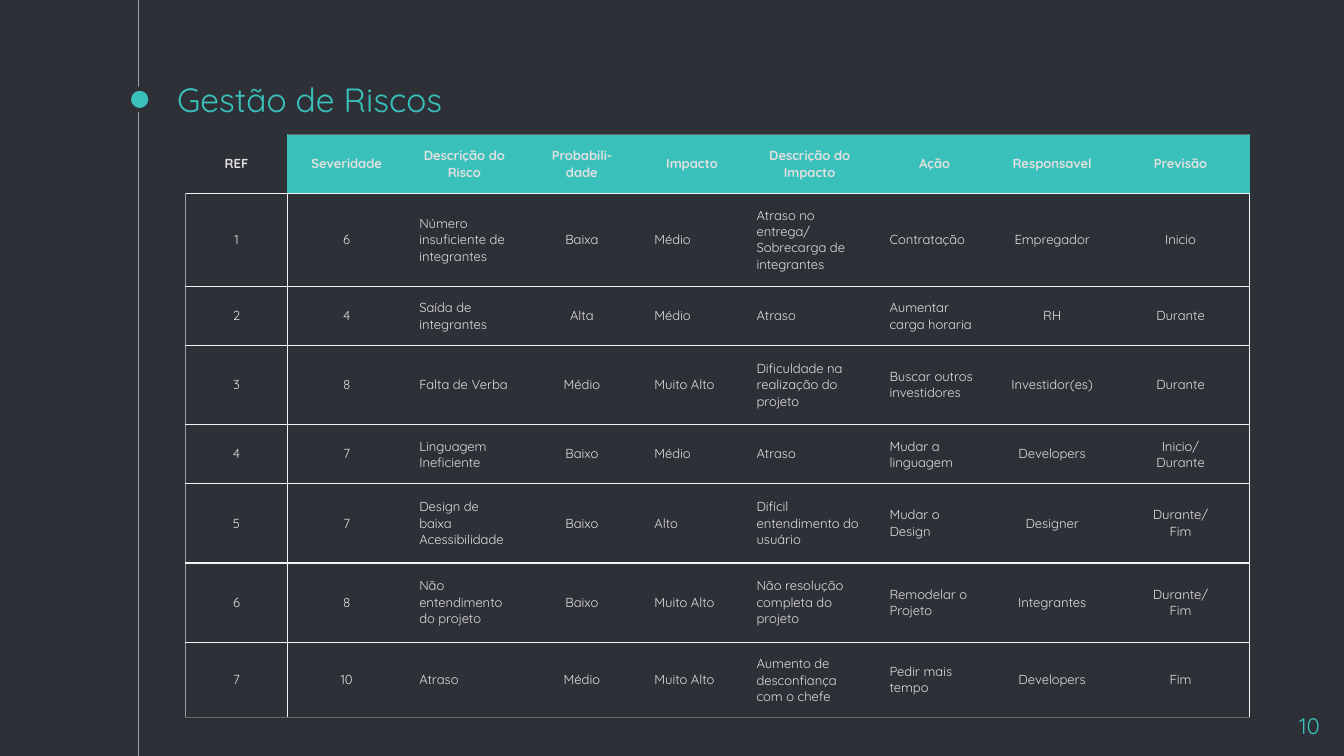
import pptx
import pptx.util
import pptx.dml.color
import pptx.enum.shapes
import pptx.enum.text
import pptx.oxml
import pptx.oxml.ns

Inches = pptx.util.Inches
Pt = pptx.util.Pt
RGBColor = pptx.dml.color.RGBColor
PP_ALIGN = pptx.enum.text.PP_ALIGN
MSO_ANCHOR = pptx.enum.text.MSO_ANCHOR

DARK = RGBColor(0x2E, 0x30, 0x37)
TEAL = RGBColor(0x39, 0xC0, 0xBA)
GRAY = RGBColor(0x99, 0x9F, 0xA9)
DIM = RGBColor(0x66, 0x66, 0x66)
PALE = RGBColor(0xF3, 0xF3, 0xF3)
TEXT = RGBColor(0xE0, 0xE0, 0xE0)
FONT = "Quicksand"
NO_STYLE = "{2D5ABB26-0587-4C30-8999-92F81FD0307C}"


def write(frame, box, text, size, color, align, anchor, bold=False):
    frame.text = text
    frame.word_wrap = True
    box_formats = {"vertical_anchor": anchor}
    for side in ("left", "right", "top", "bottom"):
        box_formats["margin_" + side] = Inches(0.1)
    for key, value in box_formats.items():
        setattr(box, key, value)
    font_formats = {"name": FONT, "size": Pt(size), "bold": bold}
    for paragraph in frame.paragraphs:
        paragraph.alignment = align
        for run in paragraph.runs:
            for key, value in font_formats.items():
                setattr(run.font, key, value)
            run.font.color.rgb = color


def add_border(cell, side, color):
    paint = "<a:noFill/>"
    if color is not None:
        paint = f'<a:solidFill><a:srgbClr val="{color}"/></a:solidFill>'
    cell._tc.get_or_add_tcPr().append(pptx.oxml.parse_xml(
        f'<a:ln{side} {pptx.oxml.ns.nsdecls("a")} w="9525">{paint}</a:ln{side}>'))


presentation = pptx.Presentation()
presentation.slide_width = Inches(10)
presentation.slide_height = presentation.slide_width * 9 // 16
slide = presentation.slides.add_slide(presentation.slide_layouts[6])
slide.background.fill.solid()
slide.background.fill.fore_color.rgb = DARK

timeline = slide.shapes.add_connector(
    pptx.enum.shapes.MSO_CONNECTOR.STRAIGHT,
    Inches(1.03), Inches(0), Inches(1.03), presentation.slide_height)
timeline.line.color.rgb = GRAY
timeline.line.width = Pt(0.75)
timeline._element.spPr.append(
    pptx.oxml.parse_xml(f'<a:effectLst {pptx.oxml.ns.nsdecls("a")}/>'))

dot = slide.shapes.add_shape(
    pptx.enum.shapes.MSO_SHAPE.OVAL, Inches(0.96), Inches(0.66), Inches(0.16), Inches(0.16))
dot.shadow.inherit = False
dot.fill.solid()
dot.fill.fore_color.rgb = TEAL
dot.line.color.rgb = DARK
dot.line.width = Pt(2.25)

title = slide.shapes.add_textbox(Inches(1.22), Inches(0.61), Inches(7.5), Inches(0.38)).text_frame
write(title, title, "Gestão de Riscos", 18, TEAL, PP_ALIGN.LEFT, MSO_ANCHOR.BOTTOM)
page_number = slide.shapes.add_textbox(
    Inches(9.32), Inches(5.2), Inches(0.6), Inches(0.34)).text_frame
write(page_number, page_number, "10", 12, TEAL, PP_ALIGN.RIGHT, MSO_ANCHOR.TOP)

risks = [
    ("REF", "Severidade", "Descrição do Risco", "Probabili-dade", "Impacto",
     "Descrição do Impacto", "Ação", "Responsavel", "Previsão"),
    ("1", "6", "Número insuficiente de integrantes", "Baixa", "Médio",
     "Atraso no entrega/\nSobrecarga de integrantes", "Contratação", "Empregador", "Inicio"),
    ("2", "4", "Saída de integrantes", "Alta", "Médio",
     "Atraso", "Aumentar carga horaria", "RH", "Durante"),
    ("3", "8", "Falta de Verba", "Médio", "Muito Alto",
     "Dificuldade na realização do projeto", "Buscar outros investidores",
     "Investidor(es)", "Durante"),
    ("4", "7", "Linguagem Ineficiente", "Baixo", "Médio",
     "Atraso", "Mudar a linguagem", "Developers", "Inicio/\nDurante"),
    ("5", "7", "Design de baixa Acessibilidade", "Baixo", "Alto",
     "Difícil entendimento do usuário", "Mudar o Design", "Designer", "Durante/\nFim"),
    ("6", "8", "Não entendimento do projeto", "Baixo", "Muito Alto",
     "Não resolução completa do projeto", "Remodelar o Projeto", "Integrantes",
     "Durante/\nFim"),
    ("7", "10", "Atraso", "Médio", "Muito Alto",
     "Aumento de desconfiança com o chefe", "Pedir mais tempo", "Developers", "Fim"),
]
column_widths = [0.76, 0.88, 0.87, 0.88, 0.76, 0.99, 0.87, 0.88, 1.03]
row_heights = [0.44, 0.69, 0.44, 0.59, 0.44, 0.59, 0.59, 0.56]
left_columns = {2, 4, 5, 6}
last_row = len(row_heights) - 1
last_column = len(column_widths) - 1

table_shape = slide.shapes.add_table(
    len(row_heights), len(column_widths), Inches(1.38), Inches(1),
    Inches(sum(column_widths)), Inches(sum(row_heights)))
table = table_shape.table
table.horz_banding = False
table.first_row = False
table._tbl.tblPr.find(pptx.oxml.ns.qn("a:tableStyleId")).text = NO_STYLE
for column, width in zip(table.columns, column_widths):
    column.width = Inches(width)
for row, height in zip(table.rows, row_heights):
    row.height = Inches(height)

for r, risk in enumerate(risks):
    header = r == 0
    edge = TEAL if header else PALE
    top = DIM if header else PALE
    bottom = DIM if r == last_row else PALE
    for c, text in enumerate(risk):
        cell = table.cell(r, c)
        align = PP_ALIGN.LEFT if c in left_columns and not header else PP_ALIGN.CENTER
        write(cell.text_frame, cell, text, 7, TEXT, align, MSO_ANCHOR.MIDDLE, header)
        corner = header and c == 0
        outer = None if header else GRAY
        borders = {
            "L": {0: outer, 1: edge}.get(c),
            "R": edge if c in (0, last_column) else None,
            "T": None if corner else top,
            "B": bottom,
        }
        for side, color in borders.items():
            add_border(cell, side, color)
        if header and not corner:
            cell.fill.solid()
            cell.fill.fore_color.rgb = TEAL
        else:
            cell.fill.background()

presentation.save("out.pptx")
